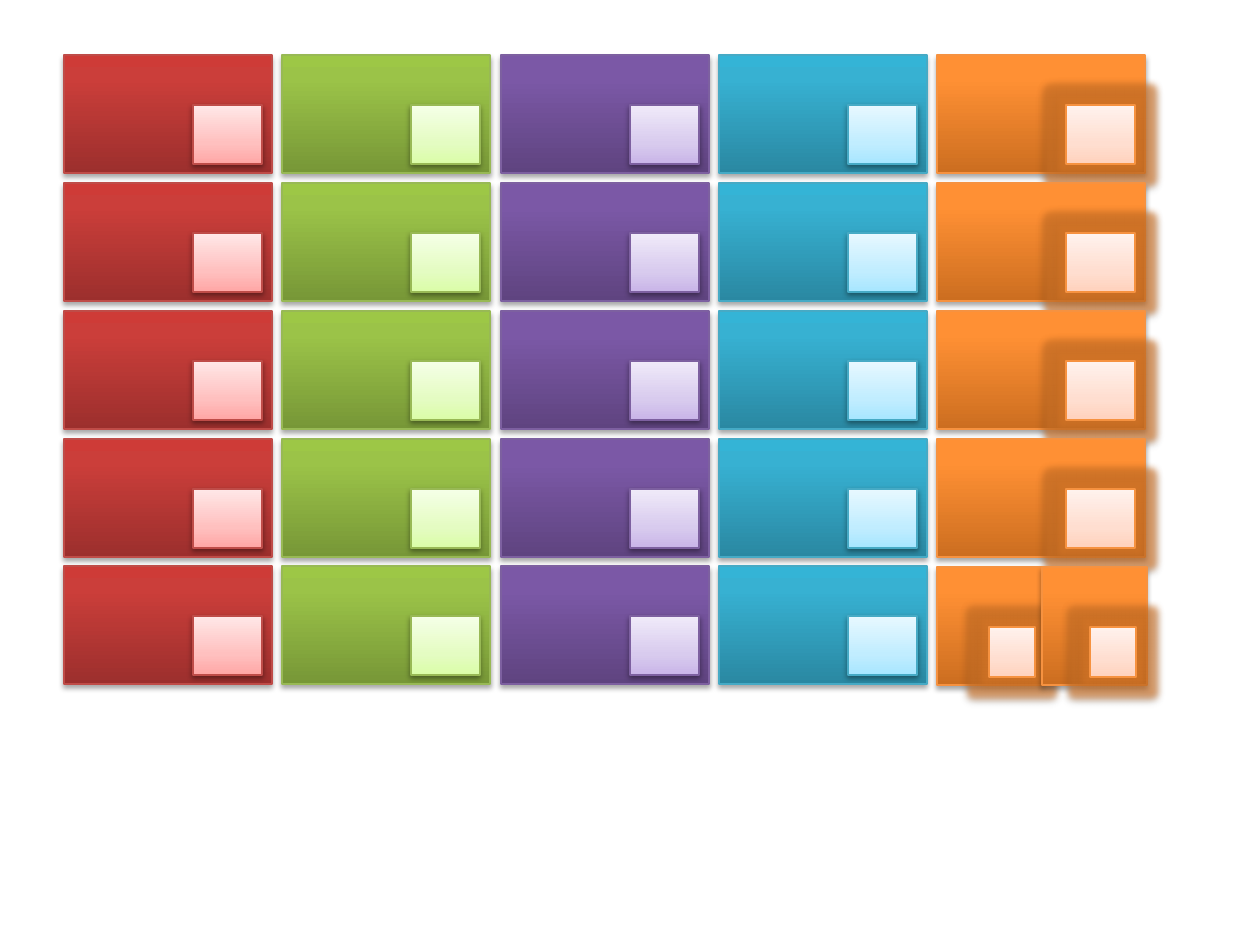
from copy import deepcopy
from dataclasses import dataclass

from lxml import etree
from pptx import Presentation
from pptx import util as u
from pptx.dml.color import RGBColor
from pptx.enum import shapes
from pptx.oxml import ns

EMU_PER_PIXEL = 914400 / 126
CARD_LEFTS = (64, 282, 501, 719, 937)
CARD_TOPS = (55, 183, 311, 439, 566)
CARD_STOPS = (0, 0.8, 1)
BADGE_STOPS = (0, 0.35, 1)
COLORS = {
    "red": {"line": "BF4C48", "card": ("9C2F2D", "CB3E3A", "CE3B37"),
            "badge": ("FFA6A5", "FFC0BF", "FFE7E7")},
    "green": {"line": "98B955", "card": ("779737", "9BC348", "9DC746"),
              "badge": ("DAFDA7", "E4FCC2", "F5FFE7")},
    "purple": {"line": "7D60A0", "card": ("5F4480", "7B58A6", "7C57A8"),
               "badge": ("C9B5E8", "D8CBEE", "F0EAF9")},
    "blue": {"line": "46AAC5", "card": ("2A88A2", "37B1D2", "34B4D6"),
             "badge": ("A7E6FF", "C1EDFF", "E7F8FF")},
    "orange": {"line": "F69240", "card": ("CC6E20", "FF9034", "FF9136"),
               "badge": ("FFD2BD", "FFDED0", "FFF2ED"), "glow": "D97828"},
}


@dataclass(frozen=True)
class Box:
    left: int
    top: int
    width: int
    height: int


@dataclass(frozen=True)
class Card:
    color: str
    outer: Box
    badge: Box


def px(pixels: int) -> u.Emu:
    """Turn pixels into EMU."""
    return u.Emu(round(pixels * EMU_PER_PIXEL))


def add_effect(effects, tag: str, color: str, alpha: int, **attributes: str) -> None:
    """Append one coloured effect to an effect list."""
    effect = etree.SubElement(effects, ns.qn(tag), **attributes)
    rgb = etree.SubElement(effect, ns.qn("a:srgbClr"), val=color)
    etree.SubElement(rgb, ns.qn("a:alpha"), val=str(alpha * 1000))


def fill_gradient(shape, colors: tuple, positions: tuple) -> None:
    """Fill a shape with a three-stop gradient running upwards."""
    shape.fill.gradient()
    shape.fill.gradient_angle = 90
    stop_list = shape._element.spPr.find(".//" + ns.qn("a:gsLst"))
    stop_list.append(deepcopy(stop_list[-1]))
    for stop, color, position in zip(shape.fill.gradient_stops, colors, positions):
        stop.color.rgb = RGBColor.from_string(color)
        stop.position = position


def add_box(group, box: Box, colors: tuple, positions: tuple, line: str,
            shadow: tuple, glow: str = "") -> None:
    """Draw a gradient rectangle with its shadow and optional glow."""
    shape = group.shapes.add_shape(shapes.MSO_SHAPE.RECTANGLE, px(box.left), px(box.top),
                                   px(box.width), px(box.height))
    fill_gradient(shape, colors, positions)
    shape.line.color.rgb = RGBColor.from_string(line)
    shape.line.width = u.Pt(0.75)
    shape.shadow.inherit = False
    effects = shape._element.spPr.find(ns.qn("a:effectLst"))
    if glow:
        add_effect(effects, "a:glow", glow, 60, rad=str(u.Pt(8)))
    alpha, distance = shadow
    add_effect(effects, "a:outerShdw", "000000", alpha, blurRad=str(u.Pt(3.1)),
               dist=str(u.Pt(distance)), dir="5400000", rotWithShape="0")


def add_card(slide, card: Card) -> None:
    """Draw a card and its badge as one group."""
    palette = COLORS[card.color]
    group = slide.shapes.add_group_shape()
    add_box(group, card.outer, palette["card"], CARD_STOPS, palette["line"], (35, 1.8))
    add_box(group, card.badge, palette["badge"], BADGE_STOPS, palette["line"], (38, 1.6),
            palette.get("glow", ""))


def full_card(color: str, left: int, top: int) -> Card:
    """Describe a full-width card."""
    return Card(color, Box(left, top, 208, 118), Box(left + 129, top + 50, 69, 59))


def half_card(left: int, badge_left: int) -> Card:
    """Describe a half-width orange card."""
    return Card("orange", Box(left, 567, 105, 118), Box(badge_left, 627, 46, 50))


def main() -> None:
    """Build and save the slide."""
    presentation = Presentation()
    presentation.slide_width, presentation.slide_height = px(1260), px(945)
    slide = presentation.slides.add_slide(presentation.slide_layouts[6])
    cards = [full_card(color, left, top)
             for color, left in zip(COLORS, CARD_LEFTS) for top in CARD_TOPS]
    cards[-1:] = [half_card(937, 989), half_card(1042, 1090)]
    for card in cards:
        add_card(slide, card)
    presentation.save("out.pptx")


main()
